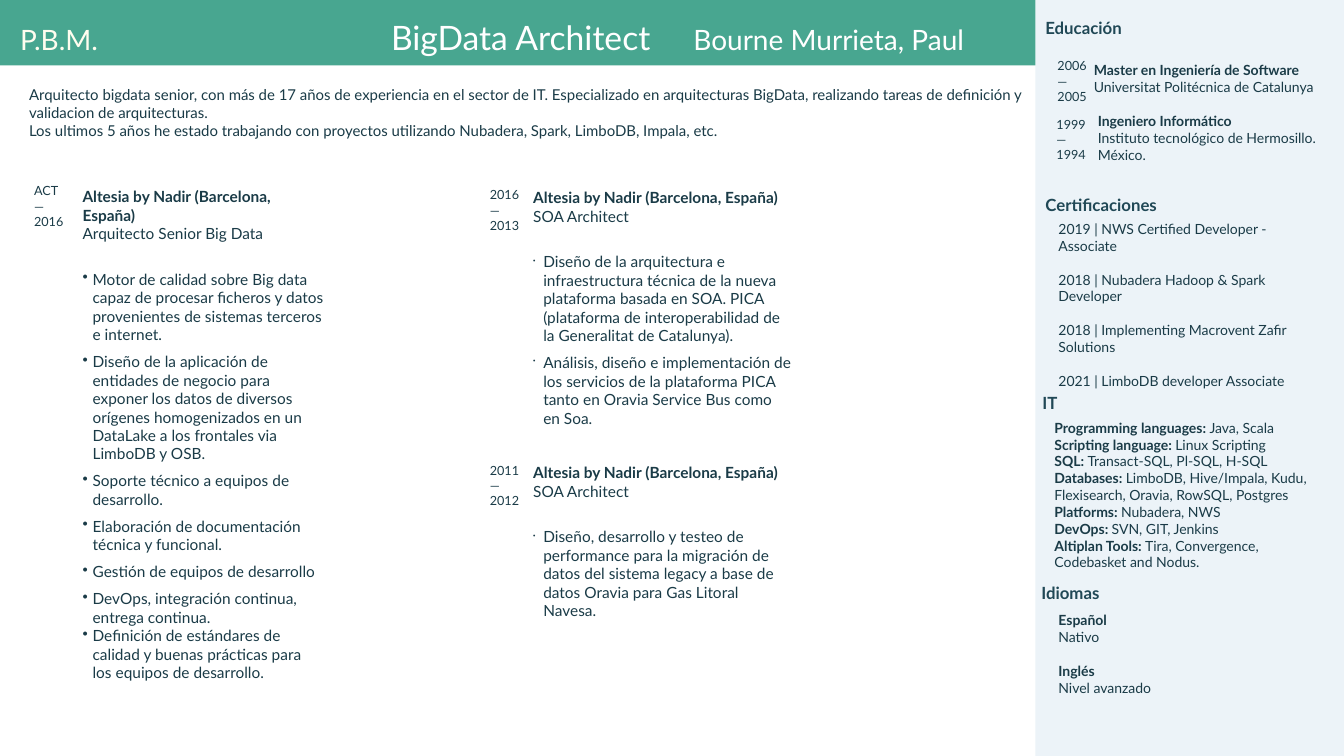
from dataclasses import dataclass

from lxml.etree import SubElement
from pptx import Presentation
from pptx.dml.color import RGBColor
from pptx.enum.shapes import MSO_SHAPE
from pptx.enum.text import MSO_AUTO_SIZE, PP_ALIGN
from pptx.oxml.ns import qn
from pptx.util import Inches, Pt


@dataclass(frozen=True)
class Theme:
    font: str = "Lato"
    ink: str = "1A3B47"
    heading: str = "204856"
    band: str = "48A690"
    sidebar: str = "A1C5E0"
    white: str = "FFFFFF"
    cream: str = "FFFDEF"
    role_size: float = 24
    name_size: float = 20
    heading_size: float = 12
    job_size: float = 11
    intro_size: float = 10.7
    detail_size: float = 10
    period_size: float = 9


@dataclass(frozen=True)
class Line:
    """A paragraph: bold text, then plain text, with its spacing and bullet."""
    bold: str = ""
    plain: str = ""
    before: float = 0
    bullet_percent: int = 0


THEME = Theme()

# The grid has square cells of a tenth of an inch; boxes are
# (column, row, columns wide, rows high).
CELL = Inches(0.1)
COLUMNS, ROWS = 133.3, 75
SIDEBAR_COLUMN = 102.7
BAND_ROWS = 6.5
PERIOD_SPAN = (6, 5.6)
BULLET_INDENT = Inches(0.1)
TASK_GAP = 6
LINE_HEIGHT = 1.2

INTRO = [
    "Arquitecto bigdata senior, con más de 17 años de experiencia en el sector de IT. "
    "Especializado en arquitecturas BigData, realizando tareas de definición y "
    "validacion de arquitecturas.",
    "Los ultimos 5 años he estado trabajando con proyectos utilizando Nubadera, Spark, "
    "LimboDB, Impala, etc.",
]

BAND_TITLES = [
    ("BigData Architect", (37.8, 1.2, 41.1, 5),
     dict(size=THEME.role_size, color=THEME.white)),
    ("P.B.M.", (1, 1.7, 29.9, 4.4),
     dict(size=THEME.name_size, color=THEME.cream)),
    ("Bourne Murrieta, Paul", (61.6, 1.7, 41.2, 4.4),
     dict(size=THEME.name_size, color=THEME.white, align=PP_ALIGN.CENTER)),
]

EMPLOYER = "Altesia by Nadir (Barcelona, España)"
JOBS = [
    dict(period=("ACT", "2016"), period_at=(2.4, 17.7), box=(7.2, 18.1, 25.9, 50.5),
         role="Arquitecto Senior Big Data", bullet=100, tight_end=True, tasks=[
             "Motor de calidad sobre Big data capaz de procesar ficheros y datos "
             "provenientes de sistemas terceros e internet.",
             "Diseño de la aplicación de entidades de negocio para exponer los datos de "
             "diversos orígenes homogenizados en un DataLake a los frontales via "
             "LimboDB y OSB.",
             "Soporte técnico a equipos de desarrollo.",
             "Elaboración de documentación técnica y funcional.",
             "Gestión de equipos de desarrollo",
             "DevOps, integración continua, entrega continua.",
             "Definición de estándares de calidad y buenas prácticas para los equipos "
             "de desarrollo."]),
    dict(period=("2016", "2013"), period_at=(47.6, 18.1), box=(51.9, 18.2, 27.6, 26.8),
         role="SOA Architect", bullet=45, tight_end=False, tasks=[
             "Diseño de la arquitectura e infraestructura técnica de la nueva plataforma "
             "basada en SOA. PICA (plataforma de interoperabilidad de la Generalitat de "
             "Catalunya).",
             "Análisis, diseño e implementación de los servicios de la plataforma PICA "
             "tanto en Oravia Service Bus como en Soa."]),
    dict(period=("2011", "2012"), period_at=(47.6, 45.4), box=(51.9, 45.5, 27.6, 16.7),
         role="SOA Architect", bullet=45, tight_end=False, tasks=[
             "Diseño, desarrollo y testeo de performance para la migración de datos del "
             "sistema legacy a base de datos Oravia para Gas Litoral Navesa."]),
]

STUDIES = [
    dict(period=("2006", "2005"), period_at=(103.9, 5.3), box=(107.5, 5.6, 25.8, 4.4),
         title="Master en Ingeniería de Software",
         school=["Universitat Politécnica de Catalunya"]),
    dict(period=("1999", "1994"), period_at=(103.8, 11.1), box=(107.9, 10.7, 25.4, 6.1),
         title="Ingeniero Informático",
         school=["Instituto tecnológico de Hermosillo.", "México."]),
]

HEADINGS = [
    ("Educación", (102.7, 1.3, 19, 3)),
    ("Certificaciones", (102.7, 18.8, 21.5, 3)),
    ("IT", (102.4, 38.5, 21.5, 3)),
    ("Idiomas", (102.3, 57.3, 17.6, 3)),
]

CERTIFICATES_BOX = (104, 21.4, 28.6, 17.8)
CERTIFICATES = [
    "2019 | NWS Certified Developer - Associate",
    "2018 | Nubadera Hadoop & Spark Developer",
    "2018 | Implementing Macrovent Zafir Solutions",
    "2021 | LimboDB developer Associate",
]

SKILLS_BOX = (103.6, 41.1, 29.3, 16.2)
SKILLS = [
    ("Programming languages: ", "Java, Scala"),
    ("Scripting language: ", "Linux Scripting"),
    ("SQL: ", "Transact-SQL, Pl-SQL, H-SQL"),
    ("Databases: ", "LimboDB, Hive/Impala, Kudu, Flexisearch, Oravia, RowSQL, Postgres"),
    ("Platforms: ", "Nubadera, NWS"),
    ("DevOps: ", "SVN, GIT, Jenkins"),
    ("Altiplan Tools: ", "Tira, Convergence, Codebasket and Nodus."),
]

LANGUAGES_BOX = (104, 60.2, 23.6, 12.8)
LANGUAGES = [("Español", "Nativo"), ("Inglés", "Nivel avanzado")]


def cells(box):
    return [round(length * CELL) for length in box]


def add_panel(slide, box, color, opacity_percent=100):
    panel = slide.shapes.add_shape(MSO_SHAPE.RECTANGLE, *cells(box))
    panel.shadow.inherit = False
    panel.fill.solid()
    panel.fill.fore_color.rgb = RGBColor.from_string(color)
    panel.line.fill.background()
    if opacity_percent < 100:
        fill_color = next(panel.element.iter(qn("a:srgbClr")))
        SubElement(fill_color, qn("a:alpha"), val=str(opacity_percent * 1000))


def add_bullet(para, color, size_percent):
    properties = para._p.get_or_add_pPr()
    properties.set("marL", str(BULLET_INDENT))
    properties.set("indent", str(-BULLET_INDENT))
    bullet_color = SubElement(properties, qn("a:buClr"))
    SubElement(bullet_color, qn("a:srgbClr"), val=color)
    SubElement(properties, qn("a:buSzPct"), val=str(size_percent * 1000))
    SubElement(properties, qn("a:buChar"), char="•")


def add_text(slide, box, lines, size=THEME.detail_size, color=THEME.ink,
             align=PP_ALIGN.LEFT):
    frame = slide.shapes.add_textbox(*cells(box)).text_frame
    frame.word_wrap = True
    frame.auto_size = MSO_AUTO_SIZE.SHAPE_TO_FIT_TEXT
    for index, line in enumerate(lines):
        para = frame.add_paragraph() if index else frame.paragraphs[0]
        para.alignment = align
        para.space_before = Pt(line.before)
        if line.bullet_percent:
            add_bullet(para, color, line.bullet_percent)
        for text, bold in ((line.bold, True), (line.plain, False)):
            if text:
                span = para.add_run()
                span.text = text
                span.font.name = THEME.font
                span.font.size = Pt(size)
                span.font.bold = bold
                span.font.color.rgb = RGBColor.from_string(color)


def add_period(slide, entry):
    latest, earliest = entry["period"]
    add_text(slide, entry["period_at"] + PERIOD_SPAN,
             [Line(plain=text) for text in (latest, "—", earliest)],
             size=THEME.period_size)


def add_job(slide, job):
    add_period(slide, job)
    gaps = [TASK_GAP] * len(job["tasks"])
    gaps[0] += THEME.job_size * LINE_HEIGHT
    if job["tight_end"]:
        gaps[-1] = 0
    tasks = [Line(plain=task, before=gap, bullet_percent=job["bullet"])
             for task, gap in zip(job["tasks"], gaps)]
    add_text(slide, job["box"], [Line(bold=EMPLOYER), Line(plain=job["role"])] + tasks,
             size=THEME.job_size)


def add_sidebar(slide):
    add_panel(slide, (SIDEBAR_COLUMN, 0, COLUMNS - SIDEBAR_COLUMN, ROWS),
              THEME.sidebar, opacity_percent=20)
    for title, box in HEADINGS:
        add_text(slide, box, [Line(bold=title)], size=THEME.heading_size,
                 color=THEME.heading)
    for study in STUDIES:
        add_period(slide, study)
        add_text(slide, study["box"], [Line(bold=study["title"])]
                 + [Line(plain=text) for text in study["school"]])
    entry_gap = THEME.detail_size * LINE_HEIGHT
    add_text(slide, CERTIFICATES_BOX,
             [Line(plain=text, before=entry_gap if index else 0)
              for index, text in enumerate(CERTIFICATES)])
    add_text(slide, SKILLS_BOX, [Line(*skill) for skill in SKILLS])
    add_text(slide, LANGUAGES_BOX,
             [line for index, (language, level) in enumerate(LANGUAGES)
              for line in (Line(bold=language, before=entry_gap if index else 0),
                           Line(plain=level))])


def main():
    deck = Presentation()
    deck.slide_width, deck.slide_height = cells((COLUMNS, ROWS))
    page = deck.slides.add_slide(deck.slide_layouts[6])
    add_sidebar(page)
    add_text(page, (1.9, 8, 100.8, 6.4), [Line(plain=text) for text in INTRO],
             size=THEME.intro_size)
    for job in JOBS:
        add_job(page, job)
    add_panel(page, (0, 0, SIDEBAR_COLUMN, BAND_ROWS), THEME.band)
    for title, box, style in BAND_TITLES:
        add_text(page, box, [Line(plain=title)], **style)
    deck.save("out.pptx")


if __name__ == "__main__":
    main()
